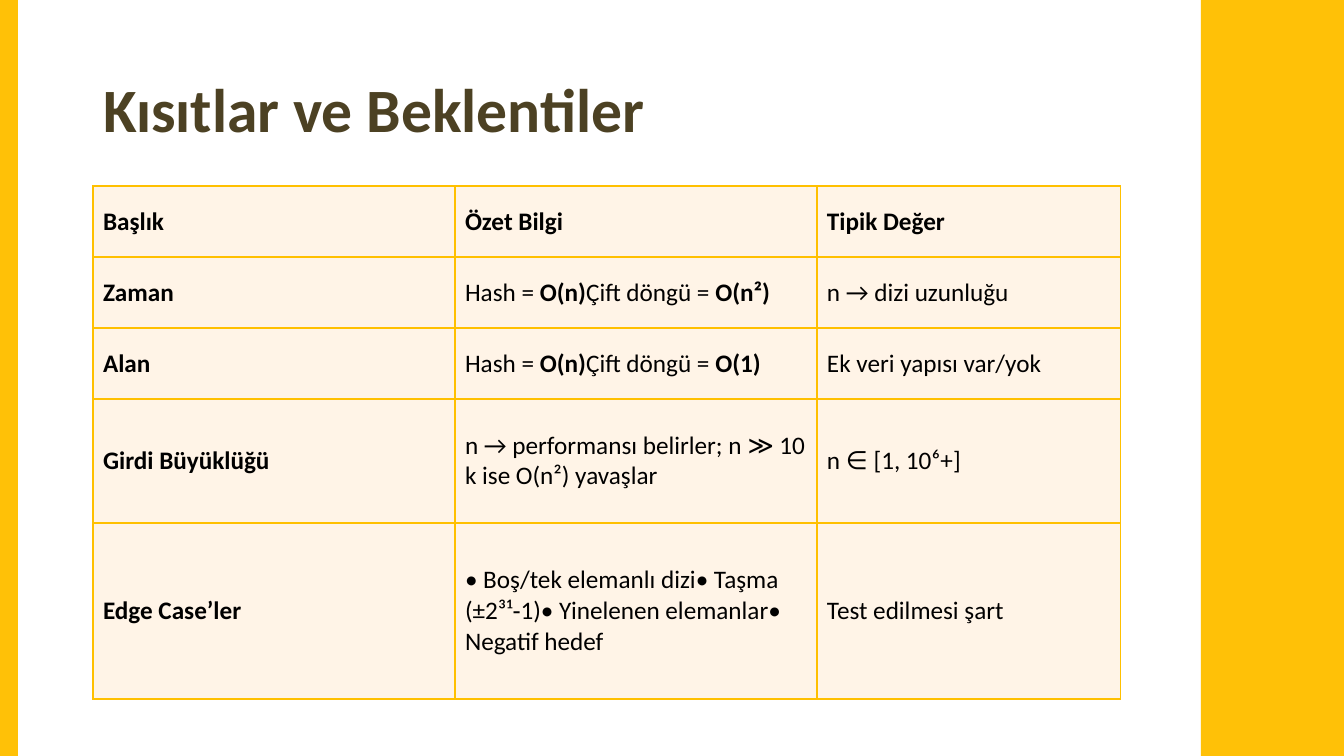
"""Build the slide of constraints and expectations with its summary table."""
from lxml.etree import SubElement
from pptx import Presentation
from pptx.dml.color import RGBColor
from pptx.enum.shapes import MSO_SHAPE
from pptx.enum.text import MSO_ANCHOR, MSO_AUTO_SIZE, PP_ALIGN
from pptx.oxml.ns import qn
from pptx.util import Pt

TITLE = "Kısıtlar ve Beklentiler"
ROWS = [
    ("*Başlık*", "*Özet Bilgi*", "*Tipik Değer*"),
    ("*Zaman*", "Hash = *O(n)*Çift döngü = *O(n²)*", "n → dizi uzunluğu"),
    ("*Alan*", "Hash = *O(n)*Çift döngü = *O(1)*", "Ek veri yapısı var/yok"),
    ("*Girdi Büyüklüğü*", "n → performansı belirler; n ≫ 10 k ise O(n²) yavaşlar", "n ∈ [1, 10⁶+]"),
    ("*Edge Case’ler*",
     "• Boş/tek elemanlı dizi• Taşma (±2³¹‑1)• Yinelenen elemanlar• Negatif hedef",
     "Test edilmesi şart"),
]

SLIDE_WIDTH, SLIDE_HEIGHT = 1344, 756
BARS = [(1201, 143), (0, 18)]
TITLE_BOX = (93, 40, 1159, 146)
TABLE_LEFT, TABLE_TOP = 93, 186
COLUMN_WIDTHS = [362, 362, 304]
ROW_HEIGHTS = [71, 71, 71, 124, 176]

AMBER = RGBColor(0xFF, 0xC1, 0x07)
BORDER = RGBColor(0xFF, 0xC0, 0x00)
CREAM = RGBColor(0xFF, 0xF4, 0xE7)
BROWN = RGBColor(0x4C, 0x41, 0x23)
BLACK = RGBColor(0x00, 0x00, 0x00)

TITLE_FONT = {"name": "Calibri", "size": Pt(44), "bold": True}
CELL_FONT = {"name": "Calibri", "size": Pt(18)}


def px(length):
    return round(length * 914400 / 100.8)


def format_font(font, values, color):
    for name, value in values.items():
        setattr(font, name, value)
    font.color.rgb = color


def add_bar(slide, left, width):
    bar = slide.shapes.add_shape(MSO_SHAPE.RECTANGLE, px(left), 0, px(width), px(SLIDE_HEIGHT))
    bar.shadow.inherit = False
    bar.fill.solid()
    bar.fill.fore_color.rgb = AMBER
    bar.line.fill.background()


def place_title(slide):
    title = slide.shapes.title
    title.left, title.top, title.width, title.height = map(px, TITLE_BOX)
    frame = title.text_frame
    frame.text = TITLE
    frame.word_wrap = True
    frame.auto_size = MSO_AUTO_SIZE.NONE
    frame.vertical_anchor = MSO_ANCHOR.MIDDLE
    paragraph = frame.paragraphs[0]
    paragraph.alignment = PP_ALIGN.LEFT
    paragraph.line_spacing = 0.9
    format_font(paragraph.runs[0].font, TITLE_FONT, BROWN)


def add_borders(cell):
    properties = cell._tc.get_or_add_tcPr()
    for side in ("a:lnL", "a:lnR", "a:lnT", "a:lnB"):
        line = SubElement(properties, qn(side), w=str(Pt(1)))
        fill = SubElement(line, qn("a:solidFill"))
        SubElement(fill, qn("a:srgbClr"), val=str(BORDER))


def fill_cell(cell, text):
    add_borders(cell)
    cell.fill.solid()
    cell.fill.fore_color.rgb = CREAM
    cell.vertical_anchor = MSO_ANCHOR.MIDDLE
    paragraph = cell.text_frame.paragraphs[0]
    for index, part in enumerate(text.split("*")):
        if part:
            run = paragraph.add_run()
            run.text = part
            format_font(run.font, CELL_FONT | {"bold": index % 2 == 1}, BLACK)


def add_summary_table(slide):
    table = slide.shapes.add_table(
        len(ROWS), len(COLUMN_WIDTHS), px(TABLE_LEFT), px(TABLE_TOP),
        px(sum(COLUMN_WIDTHS)), px(sum(ROW_HEIGHTS))).table
    for column, width in zip(table.columns, COLUMN_WIDTHS):
        column.width = px(width)
    for row, height, texts in zip(table.rows, ROW_HEIGHTS, ROWS):
        row.height = px(height)
        for cell, text in zip(row.cells, texts):
            fill_cell(cell, text)


def main():
    presentation = Presentation()
    presentation.slide_width = px(SLIDE_WIDTH)
    presentation.slide_height = px(SLIDE_HEIGHT)
    slide = presentation.slides.add_slide(presentation.slide_layouts[5])
    place_title(slide)
    for left, width in BARS:
        add_bar(slide, left, width)
    add_summary_table(slide)
    presentation.save("out.pptx")


if __name__ == "__main__":
    main()
